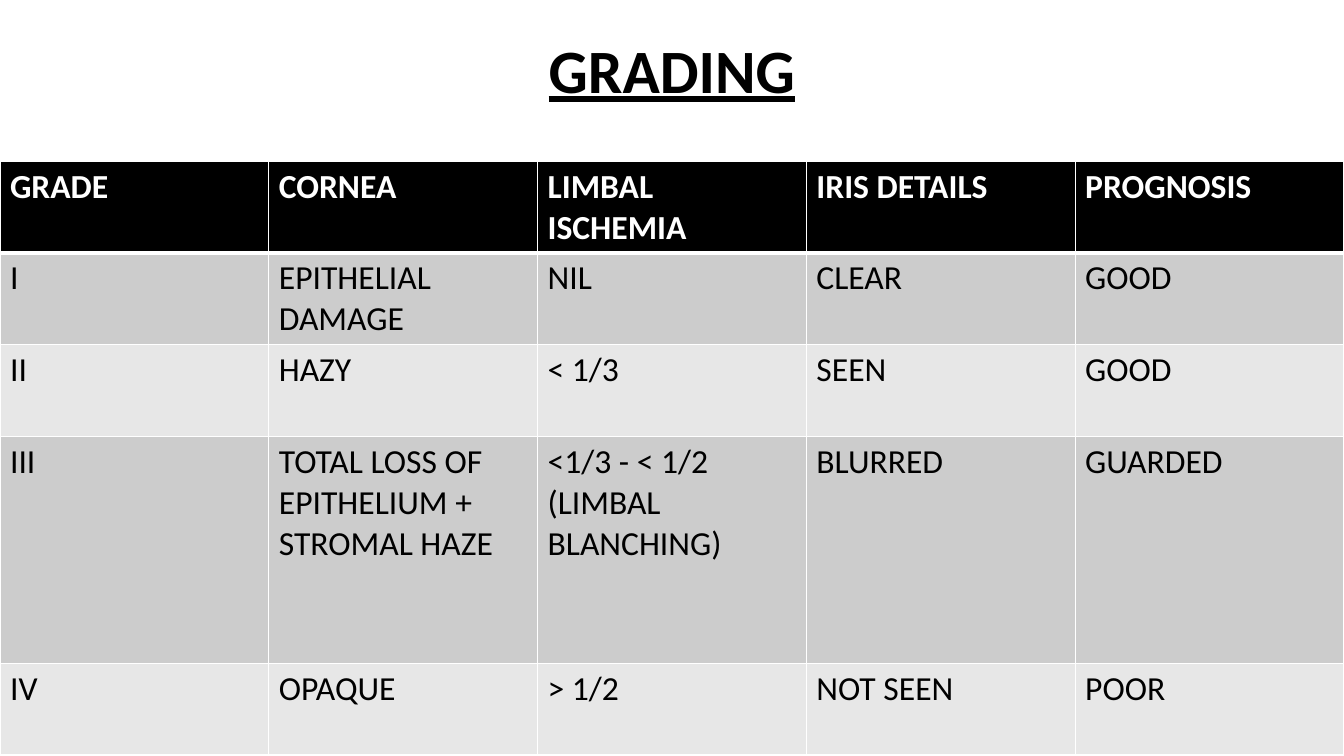
from dataclasses import astuple, dataclass

from lxml import etree
from pptx import Presentation
from pptx.dml.color import RGBColor
from pptx.enum import text
from pptx.oxml import ns
from pptx.table import _Cell
from pptx.text.text import _Run
from pptx.util import Inches, Pt

COLORS = {
    "ink": "000000",
    "paper": "FFFFFF",
    "band_dark": "CCCCCC",
    "band_light": "E7E7E7",
}
FONT = "Calibri"
SLIDE_W, SLIDE_H = 13.33, 7.5
TITLE_H = 1.45
TABLE_TOP = 1.6
ROW_HEIGHTS = [0.91, 0.91, 0.91, 2.25, 0.91]
THIN, THICK = 1, 3


@dataclass
class Grade:
    grade: str
    cornea: str
    limbal_ischemia: str
    iris_details: str
    prognosis: str


HEADER = Grade("GRADE", "CORNEA", "LIMBAL ISCHEMIA", "IRIS DETAILS", "PROGNOSIS")
GRADES = [
    Grade("I", "EPITHELIAL DAMAGE", "NIL", "CLEAR", "GOOD"),
    Grade("II", "HAZY", "< 1/3", "SEEN", "GOOD"),
    Grade("III", "TOTAL LOSS OF EPITHELIUM + STROMAL HAZE",
          "<1/3 - < 1/2 (LIMBAL BLANCHING)", "BLURRED", "GUARDED"),
    Grade("IV", "OPAQUE", "> 1/2", "NOT SEEN", "POOR"),
]


def rgb(name: str) -> RGBColor:
    return RGBColor.from_string(COLORS[name])


def format_run(r: _Run, size: float, color: str, bold: bool) -> None:
    r.font.name = FONT
    r.font.size = Pt(size)
    r.font.bold = bold
    r.font.color.rgb = rgb(color)


def set_borders(cell: _Cell, top: float, bottom: float) -> None:
    """Draw white borders; the schema wants them ahead of the cell fill."""
    tc_pr = cell._tc.get_or_add_tcPr()
    widths = {"lnL": THIN, "lnR": THIN, "lnT": top, "lnB": bottom}
    for i, (tag, width) in enumerate(widths.items()):
        ln = etree.Element(ns.qn(f"a:{tag}"), w=str(Pt(width)))
        fill = etree.SubElement(ln, ns.qn("a:solidFill"))
        etree.SubElement(fill, ns.qn("a:srgbClr"), val=COLORS["paper"])
        tc_pr.insert(i, ln)


def add_title(slide, title: str) -> None:
    sp = slide.shapes.add_textbox(0, 0, Inches(SLIDE_W), Inches(TITLE_H))
    tf = sp.text_frame
    tf.word_wrap = True
    tf.vertical_anchor = text.MSO_ANCHOR.MIDDLE
    tf.text = title
    p = tf.paragraphs[0]
    p.alignment = text.PP_ALIGN.CENTER
    p.line_spacing = 0.9
    r = p.runs[0]
    format_run(r, 44, "ink", True)
    r.font.underline = True


def add_grading_table(slide, rows: list[Grade]) -> None:
    n_cols = len(astuple(HEADER))
    table = slide.shapes.add_table(
        len(rows), n_cols, 0, Inches(TABLE_TOP),
        Inches(SLIDE_W), Inches(sum(ROW_HEIGHTS))).table
    for column in table.columns:
        column.width = Inches(SLIDE_W / n_cols)
    for i, (row, height) in enumerate(zip(rows, ROW_HEIGHTS)):
        table.rows[i].height = Inches(height)
        is_header = i == 0
        band = "ink" if is_header else "band_dark" if i % 2 else "band_light"
        for j, label in enumerate(astuple(row)):
            cell = table.cell(i, j)
            cell.text_frame.text = label
            format_run(cell.text_frame.paragraphs[0].runs[0], 24,
                       "paper" if is_header else "ink", is_header)
            cell.fill.solid()
            cell.fill.fore_color.rgb = rgb(band)
            set_borders(cell, top=THICK if i == 1 else THIN,
                        bottom=THICK if is_header else THIN)


def main() -> None:
    prs = Presentation()
    prs.slide_width = Inches(SLIDE_W)
    prs.slide_height = Inches(SLIDE_H)
    slide = prs.slides.add_slide(prs.slide_layouts[6])
    add_title(slide, "GRADING")
    add_grading_table(slide, [HEADER, *GRADES])
    prs.save("out.pptx")


if __name__ == "__main__":
    main()
